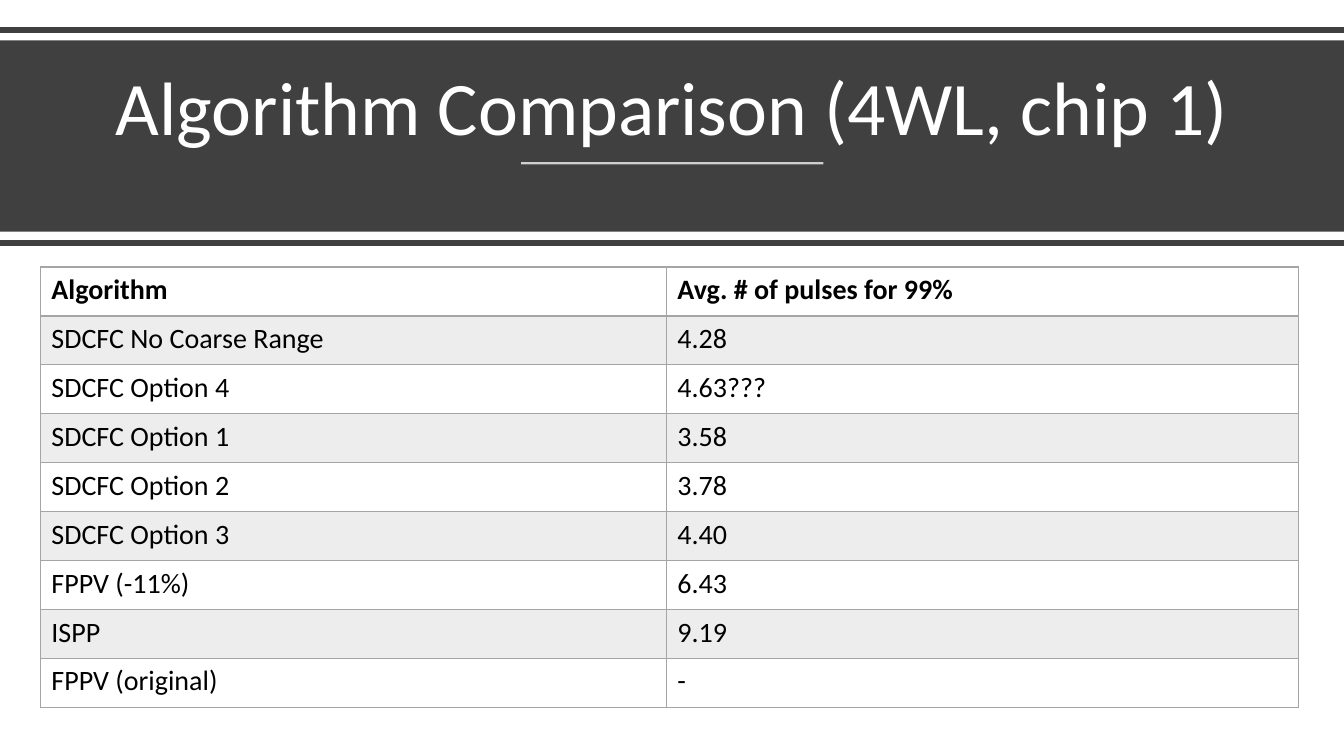
"""Build the algorithm comparison slide."""
from dataclasses import dataclass

from lxml.etree import SubElement
from pptx import Presentation
from pptx.dml.color import RGBColor
from pptx.enum.shapes import MSO_CONNECTOR, MSO_SHAPE
from pptx.enum.text import MSO_ANCHOR, MSO_AUTO_SIZE, PP_ALIGN
from pptx.oxml.ns import qn
from pptx.util import Inches, Pt

WHITE = RGBColor(0xFF, 0xFF, 0xFF)
BLACK = RGBColor(0, 0, 0)
DARK = RGBColor(0x40, 0x40, 0x40)
GRAY = RGBColor(0xA5, 0xA5, 0xA5)
WIDTH, HEIGHT = Inches(13.33), Inches(7.5)


@dataclass
class Rule:
    """A level line, placed in percent of the slide."""
    left: float
    right: float
    top: float
    color: RGBColor
    weight: float
    alpha: int = 100


RULES = [
    Rule(0, 100, 4, DARK, 4),
    Rule(38.77, 61.27, 21.6, WHITE, 1.5, 75),
    Rule(0, 100, 32.13, DARK, 4),
]
COLS = (46.58, 47.03)
ROW = 6.47
ROWS = [
    ("Algorithm", "Avg. # of pulses for 99%"),
    ("SDCFC No Coarse Range", "4.28"),
    ("SDCFC Option 4", "4.63???"),
    ("SDCFC Option 1", "3.58"),
    ("SDCFC Option 2", "3.78"),
    ("SDCFC Option 3", "4.40"),
    ("FPPV (-11%)", "6.43"),
    ("ISPP", "9.19"),
    ("FPPV (original)", "-"),
]


def across(part: float) -> int:
    """Turn a percent of the slide width into a length."""
    return round(WIDTH * part / 100)


def down(part: float) -> int:
    """Turn a percent of the slide height into a length."""
    return round(HEIGHT * part / 100)


def fade(node, alpha: int) -> None:
    """Set the opacity of the solid color inside a node."""
    color = next(node.iter(qn("a:srgbClr")))
    SubElement(color, qn("a:alpha"), val=str(alpha * 1000))


def write(frame, text: str, *, size: float, color: RGBColor, bold: bool = False,
          align=PP_ALIGN.LEFT, space: float = 1) -> None:
    """Fill a text frame with one formatted line."""
    line = frame.paragraphs[0]
    line.alignment, line.line_spacing = align, space
    run = line.add_run()
    run.text = text
    font = run.font
    font.name, font.size, font.bold = "Calibri", Pt(size), bold
    font.color.rgb = color


def draw(slide, rule: Rule) -> None:
    """Draw one level line."""
    line = slide.shapes.add_connector(
        MSO_CONNECTOR.STRAIGHT, across(rule.left), down(rule.top),
        across(rule.right), down(rule.top))
    line.line.color.rgb = rule.color
    line.line.width = Pt(rule.weight)
    props = line.element.spPr
    if rule.alpha < 100:
        fade(props, rule.alpha)
    SubElement(props, qn("a:effectLst"))


def edge(cell, side: str, weight: float) -> None:
    """Add one border to a cell."""
    props = cell._tc.get_or_add_tcPr()
    line = SubElement(props, qn(f"a:ln{side}"), w=str(Pt(weight)))
    fill = SubElement(line, qn("a:solidFill"))
    SubElement(fill, qn("a:srgbClr"), val=str(GRAY))


def head(slide) -> None:
    """Add the dark band and lay the title on it."""
    band = slide.shapes.add_shape(
        MSO_SHAPE.RECTANGLE, 0, down(5.33), WIDTH, down(25.33))
    band.shadow.inherit = False
    band.fill.solid()
    band.fill.fore_color.rgb = DARK
    band.line.fill.background()
    title = slide.shapes.title
    title.left, title.top = across(4.35), down(7.2)
    title.width, title.height = across(91.35), down(13.6)
    frame = title.text_frame
    frame.word_wrap, frame.auto_size = True, MSO_AUTO_SIZE.NONE
    frame.vertical_anchor = MSO_ANCHOR.BOTTOM
    write(frame, "Algorithm Comparison (4WL, chip 1)", size=54, color=WHITE,
          align=PP_ALIGN.CENTER, space=0.9)
    band.element.addnext(title.element)


def grid(slide) -> None:
    """Add the table of pulse counts."""
    table = slide.shapes.add_table(
        len(ROWS), len(COLS), across(3), down(35.33),
        across(sum(COLS)), down(ROW * len(ROWS))).table
    table.first_row = table.horz_banding = False
    for col, part in zip(table.columns, COLS):
        col.width = across(part)
    for row, texts in enumerate(ROWS):
        table.rows[row].height = down(ROW)
        for col, text in enumerate(texts):
            cell = table.cell(row, col)
            cell.margin_left = cell.margin_right = Inches(0.11)
            cell.margin_top = cell.margin_bottom = Inches(0.06)
            write(cell.text_frame, text, size=20, color=BLACK, bold=row == 0)
            for side in "LRTB":
                thick = (row, side) in ((0, "B"), (1, "T"))
                edge(cell, side, 2 if thick else 1)
            if row % 2:
                cell.fill.solid()
                cell.fill.fore_color.rgb = GRAY
                fade(cell._tc.tcPr.find(qn("a:solidFill")), 20)
            else:
                cell.fill.background()


def main() -> None:
    """Build and save the deck."""
    deck = Presentation()
    deck.slide_width, deck.slide_height = WIDTH, HEIGHT
    slide = deck.slides.add_slide(deck.slide_layouts[5])
    head(slide)
    for rule in RULES:
        draw(slide, rule)
    grid(slide)
    deck.save("out.pptx")


main()
